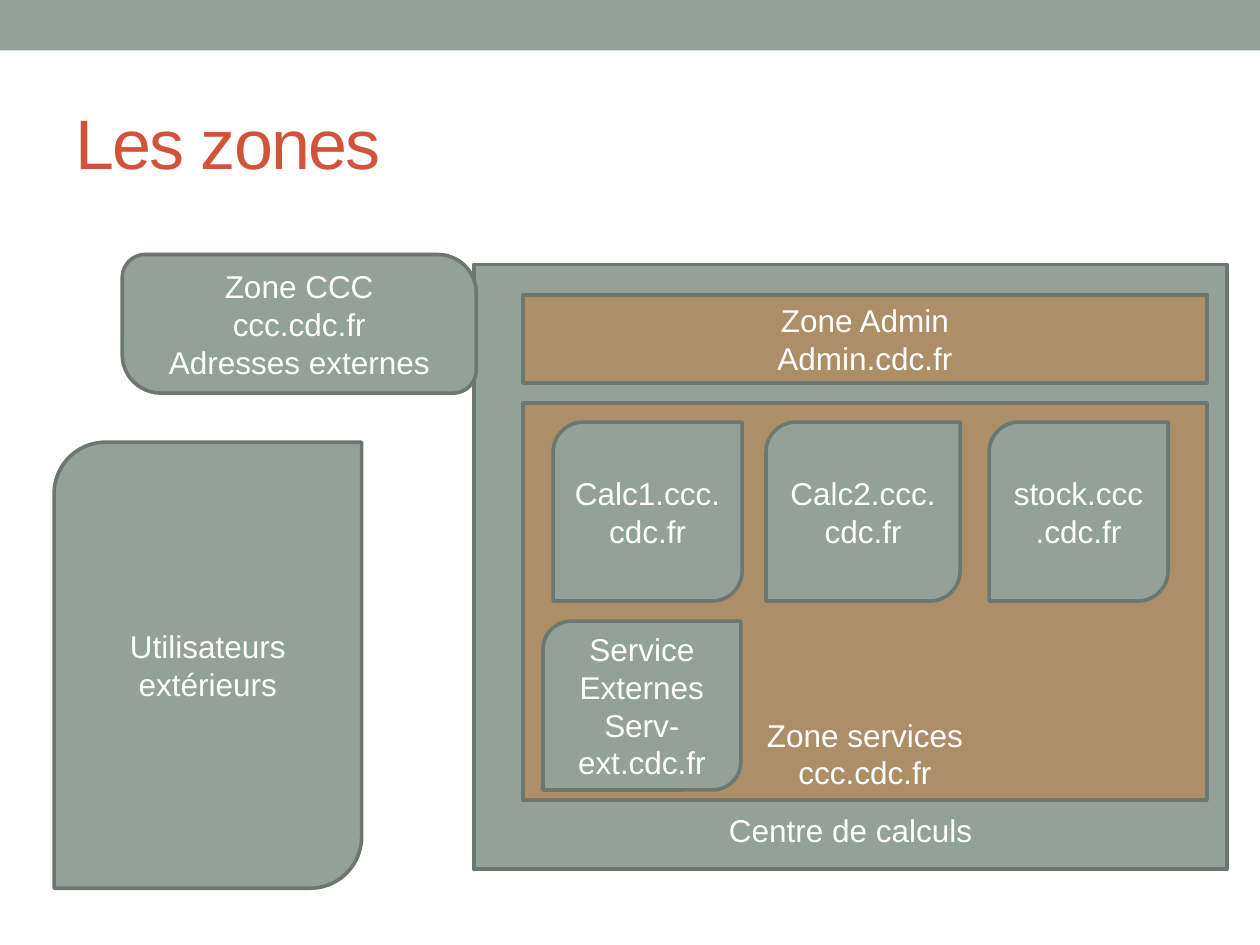
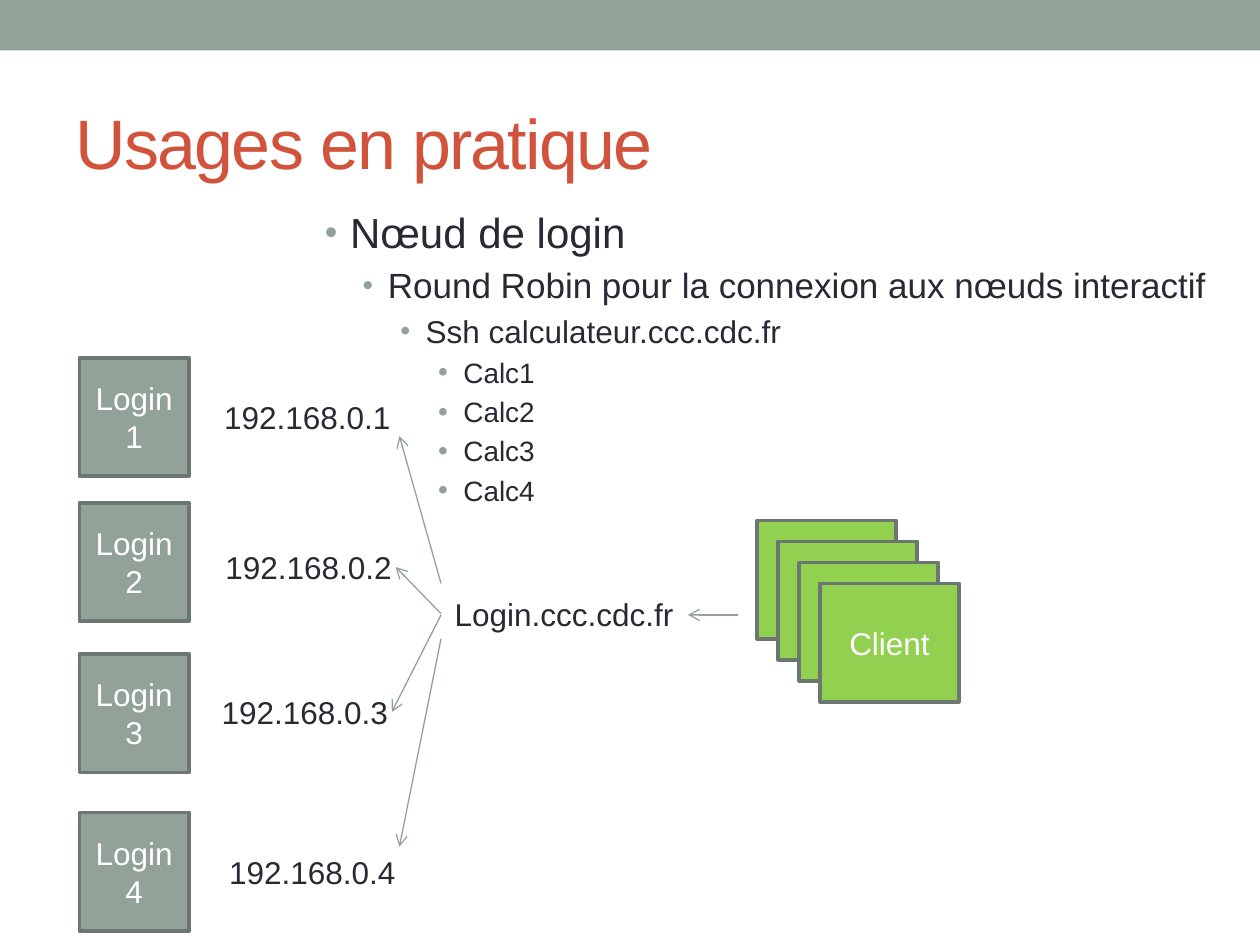
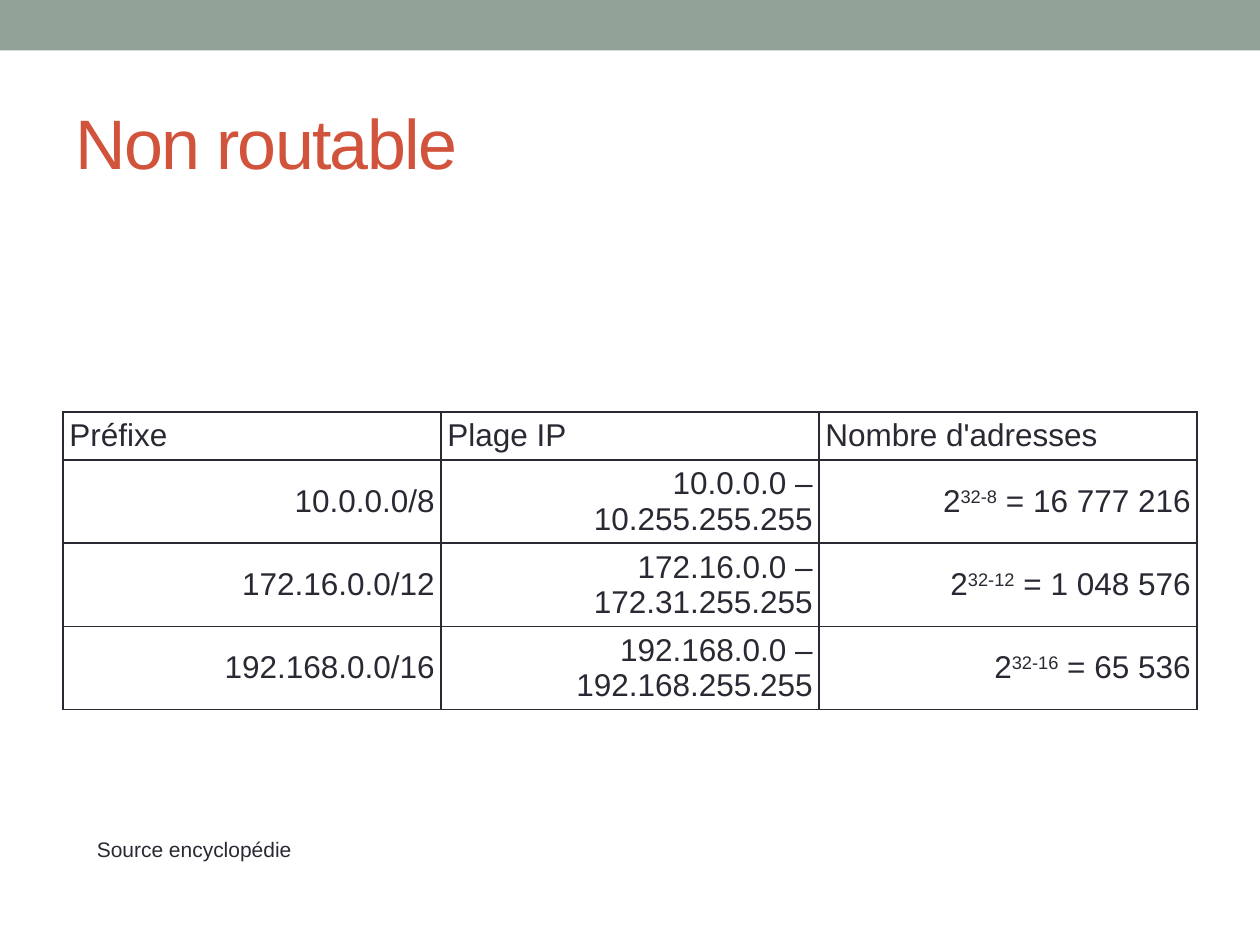
from lxml.etree import SubElement
from pptx import Presentation
from pptx.dml.color import RGBColor
from pptx.enum.shapes import MSO_CONNECTOR, MSO_SHAPE
from pptx.enum.text import MSO_ANCHOR, PP_ALIGN
from pptx.oxml.ns import qn
from pptx.util import Inches, Pt

FONT = "Arial"
SAGE = "93A299"
EDGE = "6C7771"
SAND = "AD8F67"
GREEN = "92D050"
RUST = "D2533C"
INK = "292934"
WHITE = "FFFFFF"


def rgb(value):
    return RGBColor.from_string(value)


def write(tf, text, size=18, color=INK, align=PP_ALIGN.LEFT, spacing=None, line=None):
    """Fill a text frame: a newline starts a paragraph, carets enclose a superscript."""
    for i, row in enumerate(text.split("\n")):
        p = tf.paragraphs[0] if i == 0 else tf.add_paragraph()
        p.alignment = align
        p.line_spacing = line
        for j, part in enumerate(row.split("^")):
            r = p.add_run()
            r.text = part
            r.font.name = FONT
            r.font.size = Pt(size)
            r.font.color.rgb = rgb(color)
            if spacing is not None:
                r.font._element.set("spc", str(spacing))
            if j % 2:
                r.font._element.set("baseline", "30000")


class Deck:
    def __init__(self):
        self.prs = Presentation()
        self.prs.slide_width = Inches(10)
        self.prs.slide_height = Inches(7.5)
        self.s = None

    def slide(self, title):
        self.s = self.prs.slides.add_slide(self.prs.slide_layouts[5])
        self.box(0, 0, 10, 0.4, edge=None)
        sp = self.s.shapes.title
        sp.left, sp.top = Inches(0.5), Inches(0.58)
        sp.width, sp.height = Inches(9), Inches(1.08)
        sp.text_frame.vertical_anchor = MSO_ANCHOR.MIDDLE
        write(sp.text_frame, title, size=40, color=RUST, spacing=-100)

    def box(self, x, y, w, h, text="", fill=SAGE, edge=EDGE, shape=MSO_SHAPE.RECTANGLE,
            anchor=MSO_ANCHOR.MIDDLE, bottom=0.05):
        sp = self.s.shapes.add_shape(shape, Inches(x), Inches(y), Inches(w), Inches(h))
        sp.shadow.inherit = False
        sp.fill.solid()
        sp.fill.fore_color.rgb = rgb(fill)
        if edge:
            sp.line.color.rgb = rgb(edge)
            sp.line.width = Pt(2.07)
        else:
            sp.line.fill.background()
        if text:
            tf = sp.text_frame
            tf.word_wrap = True
            tf.vertical_anchor = anchor
            tf.margin_bottom = Inches(bottom)
            write(tf, text, color=WHITE, align=PP_ALIGN.CENTER)
        return sp

    def leaf(self, x, y, w, h, text, second=0):
        sp = self.box(x, y, w, h, text, shape=MSO_SHAPE.ROUND_2_DIAG_RECTANGLE)
        sp.adjustments[0] = 0.167
        sp.adjustments[1] = second

    def label(self, x, y, w, h, text, size=18):
        tf = self.s.shapes.add_textbox(Inches(x), Inches(y), Inches(w), Inches(h)).text_frame
        tf.word_wrap = False
        write(tf, text, size=size)

    def bullets(self, x, y, w, h, items):
        styles = [(24, 85), (20, 85), (18, 90), (16, 100)]
        tf = self.s.shapes.add_textbox(Inches(x), Inches(y), Inches(w), Inches(h)).text_frame
        tf.word_wrap = True
        for i, (level, text) in enumerate(items):
            size, percent = styles[level]
            p = tf.paragraphs[0] if i == 0 else tf.add_paragraph()
            p.level = level
            p.space_before = Pt(size * 0.2)
            r = p.add_run()
            r.text = text
            r.font.name = FONT
            r.font.size = Pt(size)
            r.font.color.rgb = rgb(INK)
            pPr = p._p.get_or_add_pPr()
            pPr.set("marL", str(Inches(0.2 + 0.3 * level)))
            pPr.set("indent", str(Inches(-0.2)))
            SubElement(SubElement(pPr, qn("a:buClr")), qn("a:srgbClr"), val=SAGE)
            SubElement(pPr, qn("a:buSzPct"), val=str(percent * 1000))
            SubElement(pPr, qn("a:buFont"), typeface=FONT)
            SubElement(pPr, qn("a:buChar"), char="•")

    def arrow(self, x1, y1, x2, y2):
        cx = self.s.shapes.add_connector(
            MSO_CONNECTOR.STRAIGHT, Inches(x1), Inches(y1), Inches(x2), Inches(y2))
        cx.line.color.rgb = rgb(SAGE)
        cx.line.width = Pt(0.75)
        SubElement(cx.line._get_or_add_ln(), qn("a:tailEnd"), type="arrow")
        SubElement(cx._element.spPr, qn("a:effectLst"))

    def table(self, x, y, widths, heights, rows):
        table = self.s.shapes.add_table(
            len(rows), len(widths), Inches(x), Inches(y),
            Inches(sum(widths)), Inches(sum(heights))).table
        table.first_row = table.horz_banding = False
        for column, width in zip(table.columns, widths):
            column.width = Inches(width)
        for i, (height, row) in enumerate(zip(heights, rows)):
            table.rows[i].height = Inches(height)
            for j, text in enumerate(row):
                self.cell(table.cell(i, j), text, PP_ALIGN.RIGHT if i else PP_ALIGN.LEFT)

    def cell(self, cell, text, align):
        cell.margin_left = cell.margin_right = Inches(0.05)
        cell.margin_top = cell.margin_bottom = Inches(0.05)
        cell.vertical_anchor = MSO_ANCHOR.MIDDLE
        for side in ("lnL", "lnR", "lnT", "lnB"):
            ln = SubElement(cell._tc.get_or_add_tcPr(), qn(f"a:{side}"), w=str(Pt(0.96)))
            SubElement(SubElement(ln, qn("a:solidFill")), qn("a:srgbClr"), val=INK)
        cell.fill.background()
        write(cell.text_frame, text, align=align, line=1.0)


def zones(deck):
    deck.slide("Les zones")
    deck.leaf(0.43, 3.51, 2.44, 3.54, "Utilisateurs extérieurs")
    deck.box(3.76, 2.1, 5.98, 4.8, "Centre de calculs", anchor=MSO_ANCHOR.BOTTOM, bottom=0.16)
    deck.box(4.15, 3.2, 5.43, 3.15, "Zone services\nccc.cdc.fr", fill=SAND,
             anchor=MSO_ANCHOR.BOTTOM, bottom=0.07)
    deck.box(4.15, 2.34, 5.43, 0.7, "Zone Admin\nAdmin.cdc.fr", fill=SAND)
    for x, w, host in [(4.39, 1.5, "Calc1"), (6.08, 1.54, "Calc2"), (7.85, 1.42, "stock")]:
        deck.leaf(x, 3.35, w, 1.42, f"{host}.ccc.cdc.fr")
    deck.leaf(4.31, 4.93, 1.57, 1.34, "Service Externes\nServ-ext.cdc.fr")
    deck.leaf(0.97, 2.02, 2.81, 1.1, "Zone CCC\nccc.cdc.fr\nAdresses externes", second=0.278)


def usages(deck):
    deck.slide("Usages en pratique")
    deck.bullets(2.48, 1.59, 9, 5.33, [
        (0, "Nœud de login"),
        (1, "Round Robin pour la connexion aux nœuds interactif"),
        (2, "Ssh calculateur.ccc.cdc.fr"),
        *[(3, f"Calc{n}") for n in range(1, 5)],
    ])
    logins = [(2.84, 1.68, 3.11), (3.99, 1.69, 4.3), (5.19, 1.66, 5.45), (6.45, 1.72, 6.72)]
    for n, (top, ip_x, ip_y) in enumerate(logins, 1):
        deck.box(0.63, top, 0.87, 0.94, f"Login{n}")
        deck.label(ip_x, ip_y, 1.55, 0.4, f"192.168.0.{n}")
    deck.label(3.51, 4.67, 2, 0.4, "Login.ccc.cdc.fr")
    for i in range(4):
        deck.box(6.01 + i / 6, 4.13 + i / 6, 1.1, 0.94, "Client" if i == 3 else "", fill=GREEN)
    deck.arrow(5.86, 4.88, 5.46, 4.88)
    for y1, x2, y2 in [(4.63, 3.17, 3.46), (4.87, 3.14, 4.5), (4.88, 3.11, 5.65),
                       (5.07, 3.17, 6.72)]:
        deck.arrow(3.5, y1, x2, y2)


def non_routable(deck):
    deck.slide("Non routable")
    deck.table(0.5, 3.27, [3] * 3, [0.38] + [0.66] * 3, [
        ("Préfixe", "Plage IP", "Nombre d'adresses"),
        ("10.0.0.0/8", "10.0.0.0 – 10.255.255.255", "2^32-8^ = 16 777 216"),
        ("172.16.0.0/12", "172.16.0.0 – 172.31.255.255", "2^32-12^ = 1 048 576"),
        ("192.168.0.0/16", "192.168.0.0 – 192.168.255.255", "2^32-16^ = 65 536"),
    ])
    deck.label(0.67, 6.59, 2.2, 0.3, "Source encyclopédie", size=12)


def main():
    deck = Deck()
    zones(deck)
    usages(deck)
    non_routable(deck)
    deck.prs.save("out.pptx")


if __name__ == "__main__":
    main()
